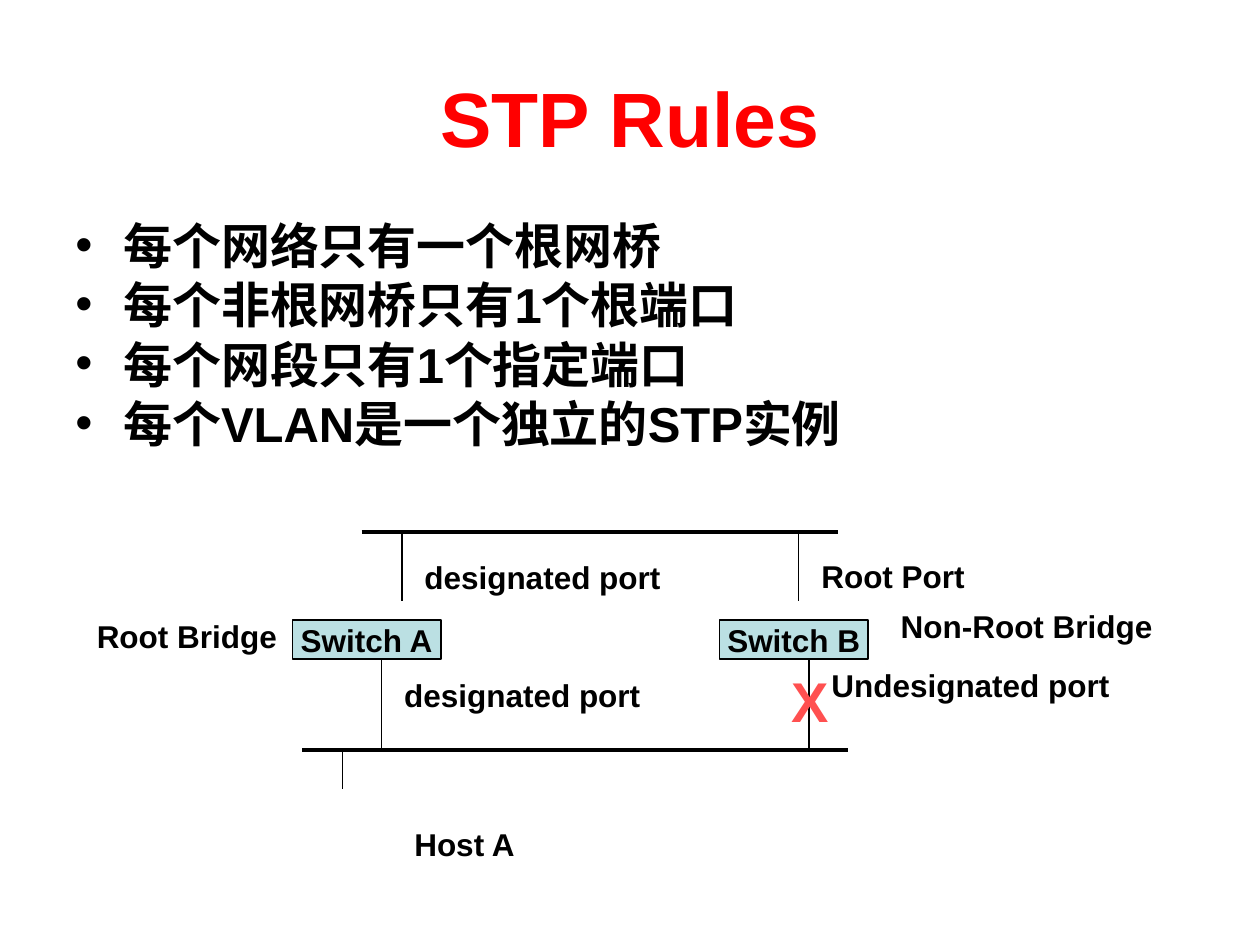
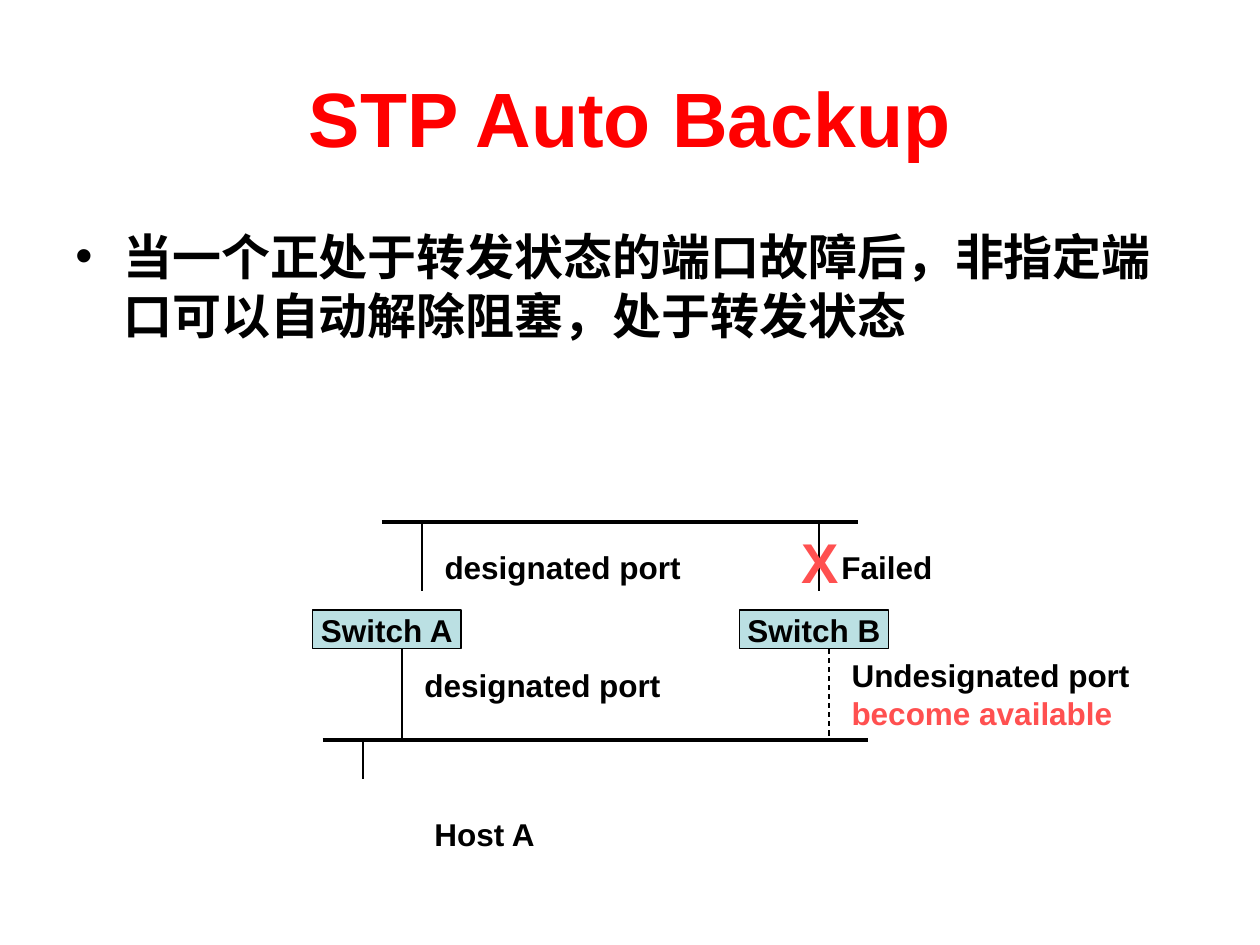
from lxml import etree
from pptx import Presentation
from pptx import util as u
from pptx.dml import color
from pptx.enum import dml, shapes, text
from pptx.oxml import ns

FONT = "Arial"
BLACK, TITLE_RED, ALERT_RED, SWITCH_BLUE = "000000", "FF0000", "FF5050", "BBE0E3"
THIN, THICK = 0.75, 2.25
SWITCH_WIDTH, SWITCH_HEIGHT = 1.18, 0.31
BULLET_INDENT = 0.38
MARGINS = {"margin_left": 0.1, "margin_right": 0.1,
           "margin_top": 0.05, "margin_bottom": 0.05}


def rgb(hex_string):
    return color.RGBColor.from_string(hex_string)


def set_attributes(target, values):
    for name, value in values.items():
        setattr(target, name, value)


def place(shape, left, top, width, height):
    set_attributes(shape, {"left": u.Inches(left), "top": u.Inches(top),
                           "width": u.Inches(width), "height": u.Inches(height)})


def write(shape, lines, size=18, align=text.PP_ALIGN.LEFT,
          anchor=text.MSO_ANCHOR.TOP, wrap=False, fit=text.MSO_AUTO_SIZE.NONE):
    """Fill a shape with one paragraph for each (words, colour) pair."""
    frame = shape.text_frame
    set_attributes(frame, {name: u.Inches(margin) for name, margin in MARGINS.items()})
    set_attributes(frame, {"word_wrap": wrap, "auto_size": fit,
                           "vertical_anchor": anchor})
    for index, (words, ink) in enumerate(lines):
        paragraph = frame.add_paragraph() if index else frame.paragraphs[0]
        paragraph.alignment = align
        run = paragraph.add_run()
        run.text = words
        set_attributes(run.font, {"name": FONT, "size": u.Pt(size), "bold": True})
        run.font.color.rgb = rgb(ink)


def add_titled_slide(presentation, title):
    slide = presentation.slides.add_slide(presentation.slide_layouts[5])
    place(slide.shapes.title, 0.5, 0.3, 9, 1.25)
    write(slide.shapes.title, [(title, TITLE_RED)], size=44,
          align=text.PP_ALIGN.CENTER, anchor=text.MSO_ANCHOR.MIDDLE, wrap=True)
    return slide


def add_bullets(slide, lines, height, line_spacing):
    box = slide.shapes.add_textbox(u.Inches(0.5), u.Inches(1.75),
                                   u.Inches(9), u.Inches(height))
    write(box, [(line, BLACK) for line in lines], size=28, wrap=True)
    for paragraph in box.text_frame.paragraphs:
        set_attributes(paragraph, {"line_spacing": line_spacing,
                                   "space_before": u.Pt(7)})
        properties = paragraph._p.get_or_add_pPr()
        properties.set("marL", str(u.Inches(BULLET_INDENT)))
        properties.set("indent", str(-u.Inches(BULLET_INDENT)))
        bullet_colour = etree.SubElement(properties, ns.qn("a:buClr"))
        etree.SubElement(bullet_colour, ns.qn("a:srgbClr"), val=BLACK)
        etree.SubElement(properties, ns.qn("a:buFont"), typeface=FONT)
        etree.SubElement(properties, ns.qn("a:buChar"), char="•")


def add_line(slide, start, end, width=THIN, dash=None):
    line = slide.shapes.add_connector(
        shapes.MSO_CONNECTOR.STRAIGHT, *(u.Inches(n) for n in (*start, *end)))
    line.line.color.rgb = rgb(BLACK)
    line.line.width = u.Pt(width)
    if dash:
        line.line.dash_style = dash
    etree.SubElement(line._element.spPr, ns.qn("a:effectLst"))


def add_switch(slide, name, left, top):
    switch = slide.shapes.add_shape(
        shapes.MSO_SHAPE.RECTANGLE, u.Inches(left), u.Inches(top),
        u.Inches(SWITCH_WIDTH), u.Inches(SWITCH_HEIGHT))
    switch.shadow.inherit = False
    switch.fill.solid()
    switch.fill.fore_color.rgb = rgb(SWITCH_BLUE)
    switch.line.color.rgb = rgb(BLACK)
    switch.line.width = u.Pt(THIN)
    write(switch, [(name, BLACK)], align=text.PP_ALIGN.CENTER,
          anchor=text.MSO_ANCHOR.MIDDLE)


def add_label(slide, lines, left, top, width, height=0.4, size=18):
    box = slide.shapes.add_textbox(*(u.Inches(n) for n in (left, top, width, height)))
    write(box, lines, size=size, fit=text.MSO_AUTO_SIZE.SHAPE_TO_FIT_TEXT)


def add_network(slide, left, top, labels, cross, backup_dash=None):
    """Draw two segments joined by two switches; left and top mark Switch A.

    Labels are (lines, x, y, width) and cross is (x, y), all measured from there.
    """
    upper, lower = top - 0.7, top + 1.03
    port_end, port_start = top - 0.15, top + 0.24

    add_line(slide, (left + 0.55, upper), (left + 4.33, upper), THICK)
    for x in (0.87, 4.02):
        add_line(slide, (left + x, upper), (left + x, port_end))
    add_line(slide, (left + 0.08, lower), (left + 4.41, lower), THICK)
    for x, dash in ((0.71, None), (4.1, backup_dash)):
        add_line(slide, (left + x, port_start), (left + x, lower), dash=dash)
    add_line(slide, (left + 0.4, lower), (left + 0.4, lower + 0.31))

    add_switch(slide, "Switch B", left + 3.39, top)
    add_switch(slide, "Switch A", left, top)

    shared_labels = [
        ([("Host A", BLACK)], 0.87, 1.58, 1),
        ([("designated port", BLACK)], 0.95, -0.54, 2.1),
        ([("designated port", BLACK)], 0.79, 0.4, 2.1),
    ]
    for lines, x, y, width in shared_labels + labels:
        add_label(slide, lines, left + x, top + y, width, 0.1 + 0.3 * len(lines))
    add_label(slide, [("X", ALERT_RED)], left + cross[0], top + cross[1],
              0.49, 0.64, size=32)


def main():
    presentation = Presentation()
    set_attributes(presentation, {"slide_width": u.Inches(10),
                                  "slide_height": u.Inches(7.5)})

    rules = add_titled_slide(presentation, "STP Rules")
    add_bullets(rules, ["每个网络只有一个根网桥", "每个非根网桥只有1个根端口",
                        "每个网段只有1个指定端口", "每个VLAN是一个独立的STP实例"],
                height=1.92, line_spacing=0.8)
    add_network(rules, 2.32, 4.92, [
        ([("Undesignated port", BLACK)], 4.18, 0.32, 2.42),
        ([("Root Port", BLACK)], 4.1, -0.55, 1.35),
        ([("Non-Root Bridge", BLACK)], 4.73, -0.15, 2.21),
        ([("Root Bridge", BLACK)], -1.65, -0.07, 1.64),
    ], cross=(3.86, 0.32))

    backup = add_titled_slide(presentation, "STP Auto Backup")
    add_bullets(backup, ["当一个正处于转发状态的端口故障后，非指定端口可以自动解除阻塞，"
                         "处于转发状态"], height=1.53, line_spacing=1.0)
    add_network(backup, 2.48, 4.84, [
        ([("Undesignated port", BLACK), ("become available", ALERT_RED)],
         4.18, 0.32, 2.42),
        ([("Failed", BLACK)], 4.1, -0.54, 0.93),
    ], cross=(3.78, -0.7), backup_dash=dml.MSO_LINE.DASH)

    presentation.save("out.pptx")


if __name__ == "__main__":
    main()
